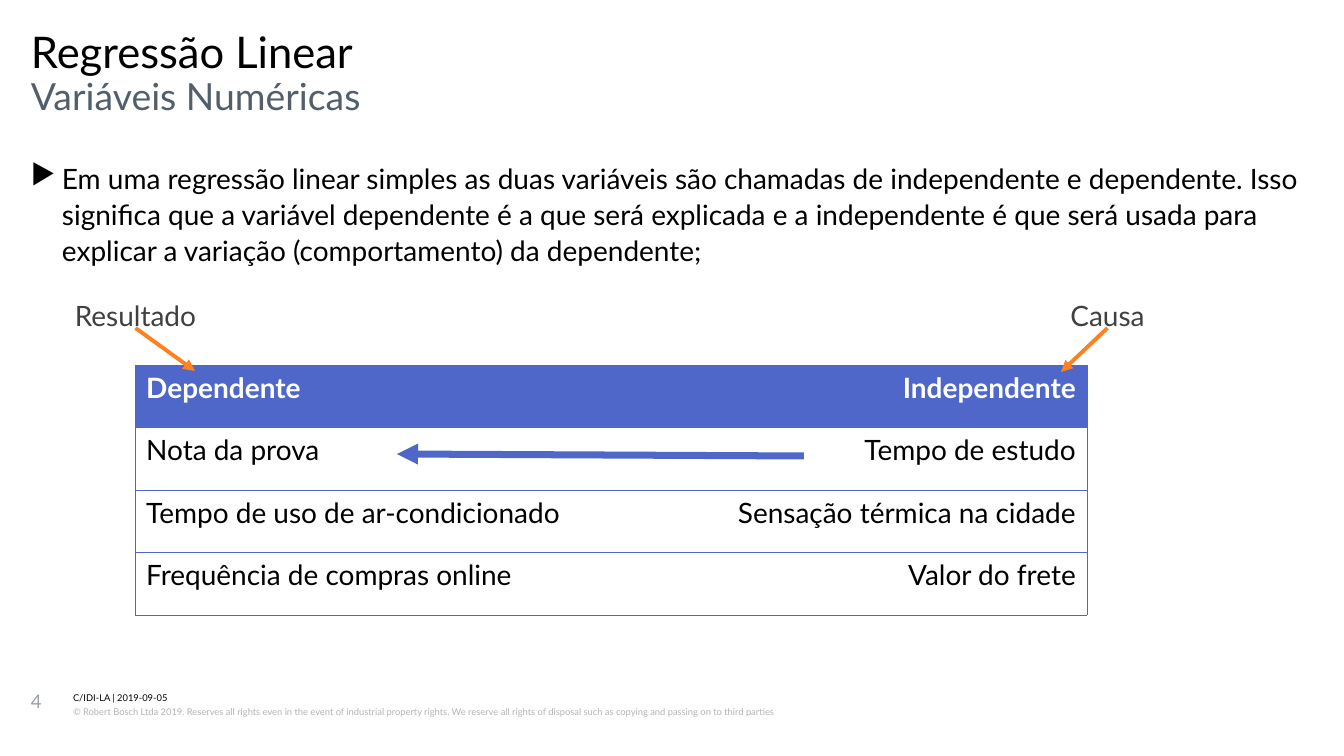
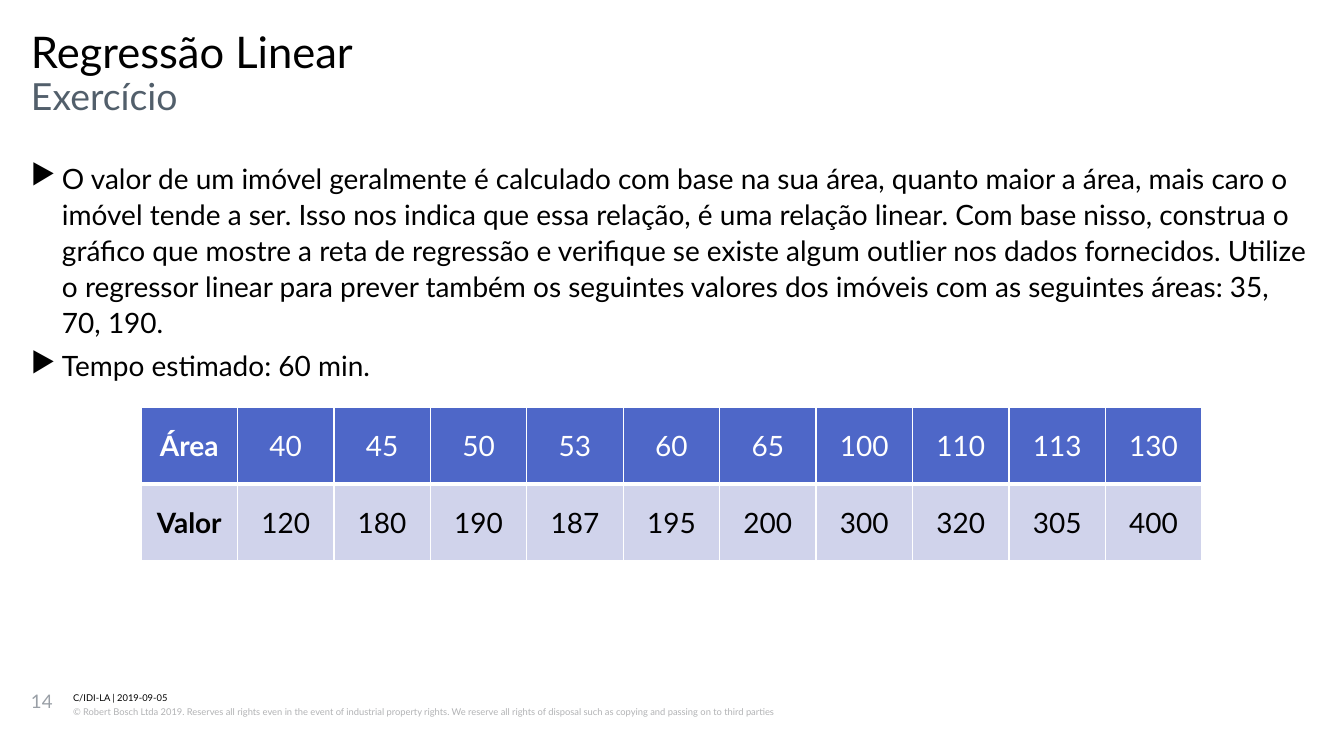
from lxml import etree
from pptx import Presentation
from pptx import util as u
from pptx.dml.color import RGBColor
from pptx.enum import shapes, text
from pptx.oxml.ns import qn

PX = 914400 / 112
FONT = "Lato"

BLACK = RGBColor(0x00, 0x00, 0x00)
WHITE = RGBColor(0xFF, 0xFF, 0xFF)
SLATE = RGBColor(0x52, 0x5F, 0x6B)
PAGE_GRAY = RGBColor(0x99, 0x9F, 0xA6)
LEGAL_GRAY = RGBColor(0xB2, 0xB3, 0xB5)
LABEL_GRAY = RGBColor(0x40, 0x40, 0x40)
BLUE = RGBColor(0x4E, 0x67, 0xC8)
LAVENDER = RGBColor(0xD0, 0xD3, 0xEB)
ORANGE = RGBColor(0xFF, 0x80, 0x21)

LEFT, CENTER, RIGHT = text.PP_ALIGN.LEFT, text.PP_ALIGN.CENTER, text.PP_ALIGN.RIGHT
TOP, MIDDLE = text.MSO_ANCHOR.TOP, text.MSO_ANCHOR.MIDDLE

MARGIN = 31
CONTENT_WIDTH = 1280
FOOTER_LEFT = 73
FOOTER_WIDTH = 1121
BULLET_INDENT = 31


def px(length):
    return u.Emu(round(length * PX))


def write_text(frame, *lines, size=18, color=BLACK, bold=False, align=LEFT,
               spacing=None, before=0, after=0, bullet=None):
    """Write one paragraph per line, all in the same format."""
    for index, line in enumerate(lines):
        paragraph = frame.paragraphs[0] if index == 0 else frame.add_paragraph()
        paragraph.alignment = align
        if spacing:
            paragraph.line_spacing = spacing
        if index:
            paragraph.space_before = u.Pt(before)
        paragraph.space_after = u.Pt(after)
        if bullet:
            properties = paragraph._p.get_or_add_pPr()
            properties.set("marL", str(px(BULLET_INDENT)))
            properties.set("indent", str(-px(BULLET_INDENT)))
            etree.SubElement(properties, qn("a:buChar"), char=bullet)
        run = paragraph.add_run()
        run.text = line
        run.font.name = FONT
        run.font.size = u.Pt(size)
        run.font.bold = bold
        run.font.color.rgb = color


def add_text(slide, box, *lines, wrap=True, **text_format):
    shape = slide.shapes.add_textbox(*map(px, box))
    frame = shape.text_frame
    frame.margin_left = frame.margin_right = frame.margin_top = frame.margin_bottom = 0
    frame.word_wrap = wrap
    write_text(frame, *lines, **text_format)
    return shape


def add_arrow(slide, start, end, color, width, source=None):
    """Draw an arrow, joined to the bottom of the source shape if there is one."""
    arrow = slide.shapes.add_connector(shapes.MSO_CONNECTOR.STRAIGHT,
                                       *map(px, (*start, *end)))
    if source is not None:
        arrow.begin_connect(source, 2)
    arrow.line.color.rgb = color
    arrow.line.width = u.Pt(width)
    etree.SubElement(arrow.line._get_or_add_ln(), qn("a:tailEnd"), type="triangle")
    etree.SubElement(arrow._element.spPr, qn("a:effectLst"))


def set_borders(cell, color, widths):
    """Set the left, right, top and bottom borders; a width of 0 hides one."""
    properties = cell._tc.get_or_add_tcPr()
    for index, (side, width) in enumerate(zip("LRTB", widths)):
        line = etree.Element(qn(f"a:ln{side}"), w=str(u.Pt(width)))
        if width:
            fill = etree.SubElement(line, qn("a:solidFill"))
            etree.SubElement(fill, qn("a:srgbClr"), val=str(color))
        else:
            etree.SubElement(line, qn("a:noFill"))
        properties.insert(index, line)


def add_table(slide, box, rows, border_color, border_widths, cell_format,
              body_fill=None, anchor=TOP):
    """border_widths and cell_format are functions of the row and the column."""
    table = slide.shapes.add_table(len(rows), len(rows[0]), *map(px, box)).table
    for row, values in enumerate(rows):
        fill = body_fill if row else BLUE
        for column, value in enumerate(values):
            cell = table.cell(row, column)
            cell.vertical_anchor = anchor
            if fill is None:
                cell.fill.background()
            else:
                cell.fill.solid()
                cell.fill.fore_color.rgb = fill
            set_borders(cell, border_color, border_widths(row, column))
            write_text(cell.text_frame, value, color=BLACK if row else WHITE,
                       **cell_format(row, column))


def add_content_slide(presentation, number, subtitle, *bullets):
    """Add a slide with the shared title, footer and bulleted body."""
    slide = presentation.slides.add_slide(presentation.slide_layouts[6])
    add_text(slide, (FOOTER_LEFT, 691, FOOTER_WIDTH, 13), "C/IDI-LA | 2019-09-05",
             size=6, spacing=1.07, after=1)
    add_text(slide, (FOOTER_LEFT, 704, FOOTER_WIDTH, 27),
             "© Robert Bosch Ltda 2019. Reserves all rights even in the event of "
             "industrial property rights. We reserve all rights of disposal such as "
             "copying and passing on to third parties",
             size=6, color=LEGAL_GRAY, spacing=1.2, after=1)
    add_text(slide, (MARGIN, 31, CONTENT_WIDTH, 48), "Regressão Linear",
             size=28, spacing=0.89)
    add_text(slide, (MARGIN, 79, CONTENT_WIDTH, 48), subtitle,
             size=24, color=SLATE, spacing=0.89)
    add_text(slide, (MARGIN, 690, 36, 50), str(number), size=12, color=PAGE_GRAY)
    add_text(slide, (MARGIN, 159, CONTENT_WIDTH, 153), *bullets,
             spacing=1.07, before=5, bullet="▶")
    return slide


def add_variables_slide(presentation):
    slide = add_content_slide(
        presentation, 4, "Variáveis Numéricas",
        "Em uma regressão linear simples as duas variáveis são chamadas de "
        "independente e dependente. Isso significa que a variável dependente é a que "
        "será explicada e a independente é que será usada para explicar a variação "
        "(comportamento) da dependente;")
    variables = [
        ("Dependente", "Independente"),
        ("Nota da prova", "Tempo de estudo"),
        ("Tempo de uso de ar-condicionado", "Sensação térmica na cidade"),
        ("Frequência de compras online", "Valor do frete"),
    ]
    add_table(slide, (135, 365, 952, 250), variables, BLUE,
              lambda row, column: (0, 0.5, 0.5, 0.5) if column else (0.5, 0, 0.5, 0.5),
              lambda row, column: {"bold": row == 0, "align": RIGHT if column else LEFT})
    for label, left, target in (("Resultado", 53, (195, 371)),
                                ("Causa", 1025, (1061, 372))):
        shape = add_text(slide, (left, 296, 165, 32), label, wrap=False,
                         color=LABEL_GRAY, align=CENTER, spacing=u.Pt(23))
        add_arrow(slide, (left + 82, 328), target, ORANGE, 2.5, source=shape)
    add_arrow(slide, (804, 456), (397, 454), BLUE, 4.5)


def add_exercise_slide(presentation):
    slide = add_content_slide(
        presentation, 14, "Exercício",
        "O valor de um imóvel geralmente é calculado com base na sua área, quanto maior "
        "a área, mais caro o imóvel tende a ser. Isso nos indica que essa relação, é uma "
        "relação linear. Com base nisso, construa o gráfico que mostre a reta de "
        "regressão e verifique se existe algum outlier nos dados fornecidos. Utilize o "
        "regressor linear para prever também os seguintes valores dos imóveis com as "
        "seguintes áreas: 35, 70, 190.",
        "Tempo estimado: 60 min.")
    areas = (40, 45, 50, 53, 60, 65, 100, 110, 113, 130)
    prices = (120, 180, 190, 187, 195, 200, 300, 320, 305, 400)
    rows = [("Área", *map(str, areas)), ("Valor", *map(str, prices))]
    add_table(slide, (141, 407, 1061, 154), rows, WHITE,
              lambda row, column: (1, 1, 3, 1) if row else (1, 1, 1, 3),
              lambda row, column: {"bold": column == 0, "align": CENTER},
              body_fill=LAVENDER, anchor=MIDDLE)


def main():
    presentation = Presentation()
    presentation.slide_width = px(1344)
    presentation.slide_height = px(756)
    add_variables_slide(presentation)
    add_exercise_slide(presentation)
    presentation.save("out.pptx")


if __name__ == "__main__":
    main()
